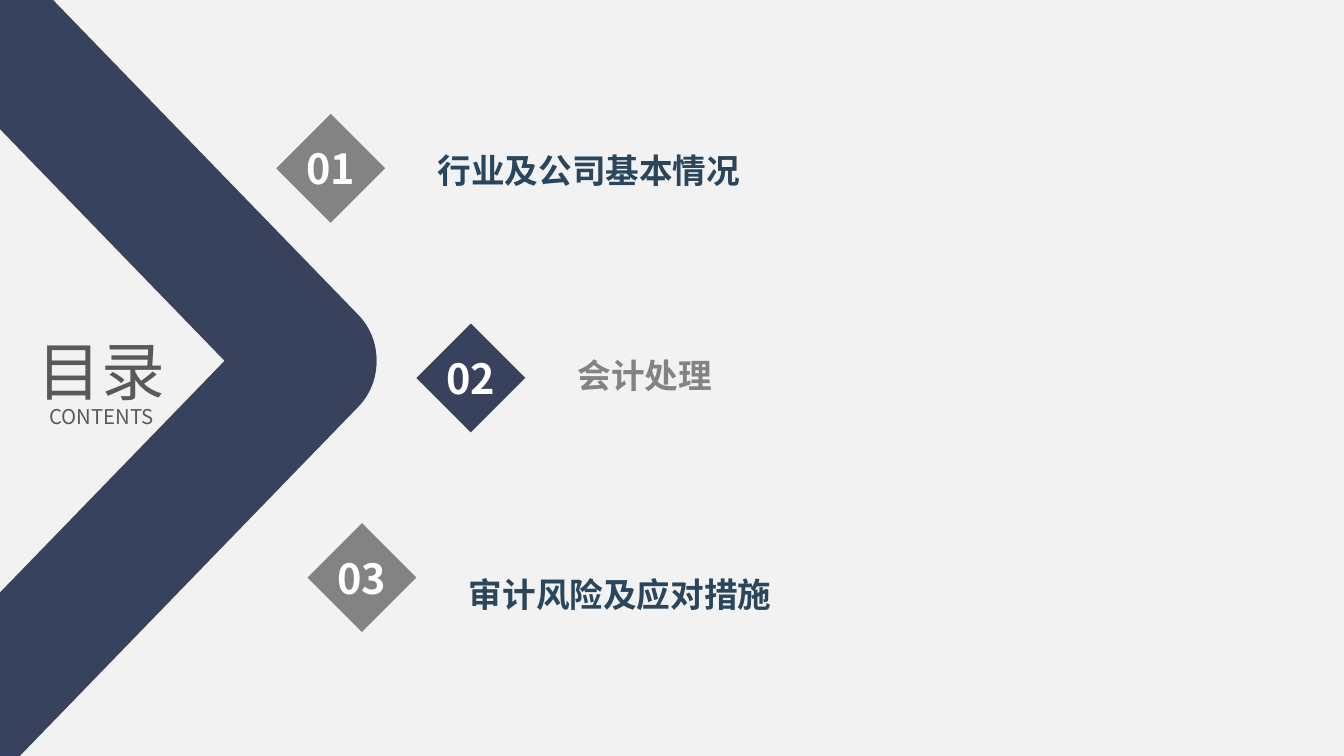
from lxml.etree import SubElement
from pptx import Presentation
from pptx.dml.color import RGBColor
from pptx.enum.shapes import MSO_SHAPE as Shape
from pptx.enum.text import MSO_ANCHOR as Anchor, PP_ALIGN as Align
from pptx.oxml.ns import qn
from pptx.util import Inches, Pt

FONT = "Noto Sans CJK SC"
NAVY, GRAY, TEAL = "39425D", "838383", "2A465C"
WHITE, DARK, PALE = "FFFFFF", "595959", "F2F2F2"
DIAMOND_SIZE = 1.08

# Number, title, diamond left and top, title top and height, diamond and title colours
CHAPTERS = [
    ("01", "行业及公司基本情况", 2.74, 1.13, 1.39, 0.5, GRAY, TEAL),
    ("02", "会计处理", 4.13, 3.21, 3.46, 0.46, NAVY, GRAY),
    ("03", "审计风险及应对措施", 3.05, 5.19, 5.55, 0.54, GRAY, TEAL),
]


def paint(fill, color):
    fill.solid()
    fill.fore_color.rgb = RGBColor.from_string(color)


def write(box, text, size, color, bold=False, align=Align.CENTER,
          anchor=Anchor.TOP, wrap=True, insets=(0, 0, 0, 0)):
    frame = box.text_frame
    left, top, right, bottom = map(Inches, insets)
    frame_format = {
        "margin_left": left, "margin_top": top,
        "margin_right": right, "margin_bottom": bottom,
        "vertical_anchor": anchor, "word_wrap": wrap,
    }
    for name, value in frame_format.items():
        setattr(frame, name, value)
    para = frame.paragraphs[0]
    para.alignment = align
    span = para.add_run()
    span.text = text
    for name, value in {"name": FONT, "size": Pt(size), "bold": bold}.items():
        setattr(span.font, name, value)
    paint(span.font.fill, color)
    # East Asian characters take their own typeface
    SubElement(span.font._element, qn("a:ea"), typeface=FONT)


def add_text(page, place, text, size, color, **options):
    box = page.shapes.add_textbox(*map(Inches, place))
    write(box, text, size, color, **options)


def add_solid(page, kind, place, color):
    shape = page.shapes.add_shape(kind, *map(Inches, place))
    shape.shadow.inherit = False
    shape.line.fill.background()
    paint(shape.fill, color)
    return shape


def add_bar(page, top, angle):
    bar = add_solid(page, Shape.ROUNDED_RECTANGLE, (-4.65, top, 9.66, 1.27), NAVY)
    bar.adjustments[0] = 0.5
    bar.rotation = angle


def add_chapter(page, number, title, left, top, title_top, title_height,
                color, title_color):
    diamond = add_solid(page, Shape.DIAMOND,
                        (left, top, DIAMOND_SIZE, DIAMOND_SIZE), color)
    write(diamond, number, 29.6, WHITE, bold=True, anchor=Anchor.MIDDLE,
          wrap=False, insets=(0.13, 0.07, 0.13, 0.07))
    add_text(page, (left + DIAMOND_SIZE, title_top, 3.71, title_height),
             title, 24, title_color, bold=True, align=Align.LEFT,
             anchor=Anchor.BOTTOM, wrap=False, insets=(0.52, 0, 0, 0))


def main():
    deck = Presentation()
    deck.slide_width, deck.slide_height = Inches(13.33), Inches(7.5)
    page = deck.slides.add_slide(deck.slide_layouts[6])
    paint(page.background.fill, PALE)

    # Chevron of two rounded bars
    add_bar(page, -0.08, 45.9)
    add_bar(page, 5.97, -45.9)

    # Heading
    add_text(page, (0.16, 3.29, 1.69, 0.63), "目录", 45.5, DARK)
    add_text(page, (0.16, 4.01, 1.69, 0.2), "CONTENTS", 14.5, DARK)

    # Chapters
    for chapter in CHAPTERS:
        add_chapter(page, *chapter)

    deck.save("out.pptx")


if __name__ == "__main__":
    main()
